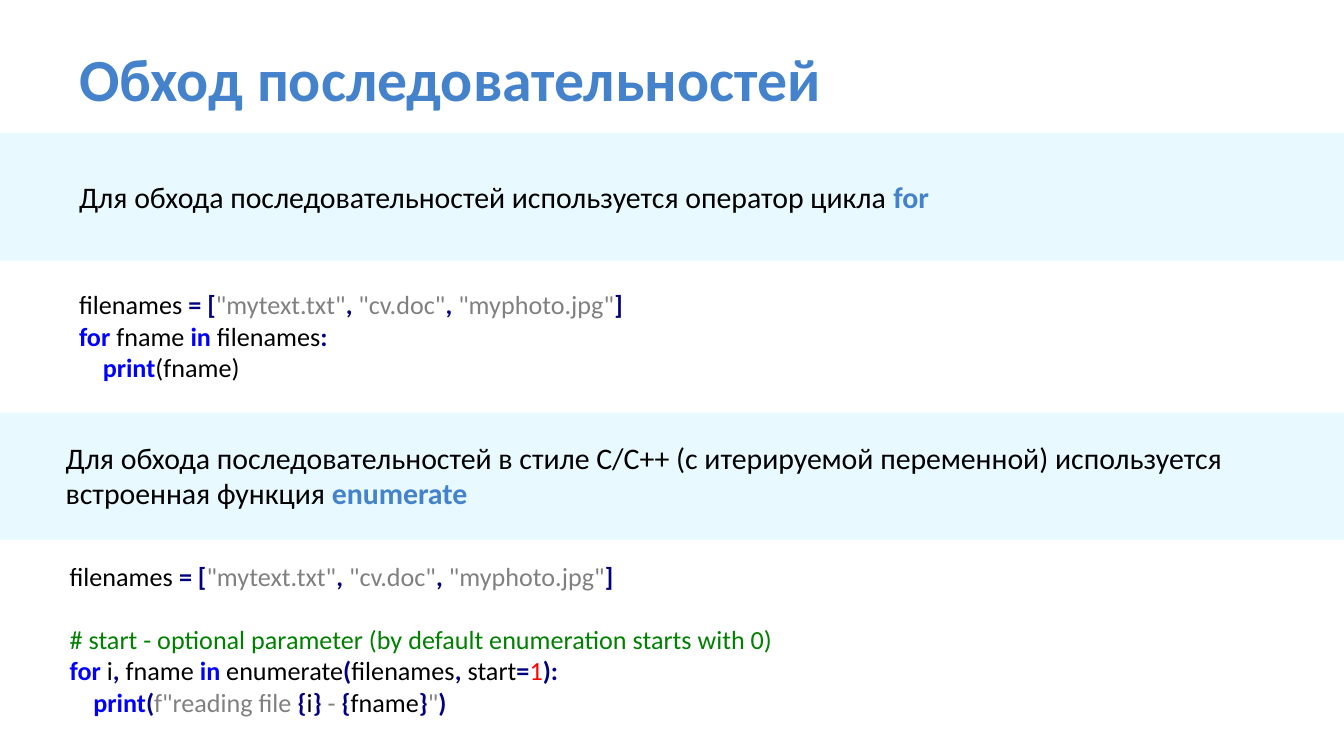
"""Builds a slide on iterating over sequences in Python."""
from pptx import Presentation
from pptx import util as u
from pptx.dml.color import RGBColor
from pptx.enum import shapes, text

COLORS = {
    "band": "E8F9FF",
    "accent": "4482CC",
    "plain": "000000",
    "operator": "000080",
    "string": "808080",
    "keyword": "0000FF",
    "comment": "008000",
    "number": "FF0000",
}
BOLD = {"accent", "operator", "keyword"}
FONT = "Calibri"
BLANK_LINE = 17

FILENAMES = [
    ("filenames ", "plain"), ("= [", "operator"),
    ('"mytext.txt"', "string"), (", ", "operator"),
    ('"cv.doc"', "string"), (", ", "operator"),
    ('"myphoto.jpg"', "string"), ("]", "operator"),
]
FOR_CODE = [
    FILENAMES,
    [("for", "keyword"), (" fname ", "plain"), ("in", "keyword"),
     (" filenames", "plain"), (":", "operator")],
    [("    ", "plain"), ("print", "keyword"), ("(fname)", "plain")],
]
ENUMERATE_CODE = [
    FILENAMES,
    [("# start - optional parameter (by default enumeration starts with 0)", "comment")],
    [("for", "keyword"), (" i", "plain"), (",", "operator"), (" fname ", "plain"),
     ("in", "keyword"), (" enumerate", "plain"), ("(", "operator"),
     ("filenames", "plain"), (",", "operator"), (" start", "plain"),
     ("=", "operator"), ("1", "number"), ("):", "operator")],
    [("    ", "plain"), ("print", "keyword"), ("(", "operator"),
     ('f"reading file ', "string"), ("{", "operator"), ("i", "plain"),
     ("}", "operator"), (" - ", "string"), ("{", "operator"), ("fname", "plain"),
     ("}", "operator"), ('"', "string"), (")", "operator")],
]
FOR_NOTE = [[("Для обхода последовательностей используется оператор цикла ", "plain"),
             ("for", "accent")]]
ENUMERATE_NOTE = [[("Для обхода последовательностей в стиле С/С++ (с итерируемой переменной) "
                    "используется встроенная функция ", "plain"),
                   ("enumerate", "accent")]]


def add_band(s, top):
    sp = s.shapes.add_shape(shapes.MSO_SHAPE.RECTANGLE, 0, u.Inches(top),
                            u.Inches(10), u.Inches(0.95))
    sp.shadow.inherit = False
    sp.fill.solid()
    sp.fill.fore_color.rgb = RGBColor.from_string(COLORS["band"])
    sp.line.fill.background()


def add_text(s, box, lines, size):
    sp = s.shapes.add_textbox(*map(u.Inches, box))
    tf = sp.text_frame
    tf.word_wrap = True
    tf.vertical_anchor = text.MSO_ANCHOR.TOP
    for i, line in enumerate(lines):
        p = tf.paragraphs[0] if i == 0 else tf.add_paragraph()
        for words, style in line:
            r = p.add_run()
            r.text = words
            r.font.name = FONT
            r.font.size = u.Pt(size)
            r.font.bold = style in BOLD
            r.font.color.rgb = RGBColor.from_string(COLORS[style])
    return tf


def main():
    prs = Presentation()
    prs.slide_width = u.Inches(10)
    prs.slide_height = prs.slide_width * 9 // 16
    s = prs.slides.add_slide(prs.slide_layouts[6])

    for top in (0.99, 3.07):
        add_band(s, top)

    title = add_text(s, (0.49, 0.2, 8, 0.76),
                     [[("Обход последовательностей", "accent")]], 32)
    title.vertical_anchor = text.MSO_ANCHOR.MIDDLE

    add_text(s, (0.49, 1.28, 9.29, 0.37), FOR_NOTE, 16)
    add_text(s, (0.49, 2.1, 9.13, 0.81), FOR_CODE, 14)
    add_text(s, (0.39, 3.22, 9.22, 0.64), ENUMERATE_NOTE, 16)
    code = add_text(s, (0.42, 4.12, 9.26, 1.28), ENUMERATE_CODE, 14)
    code.paragraphs[1].space_before = u.Pt(BLANK_LINE)

    prs.save("out.pptx")


if __name__ == "__main__":
    main()
